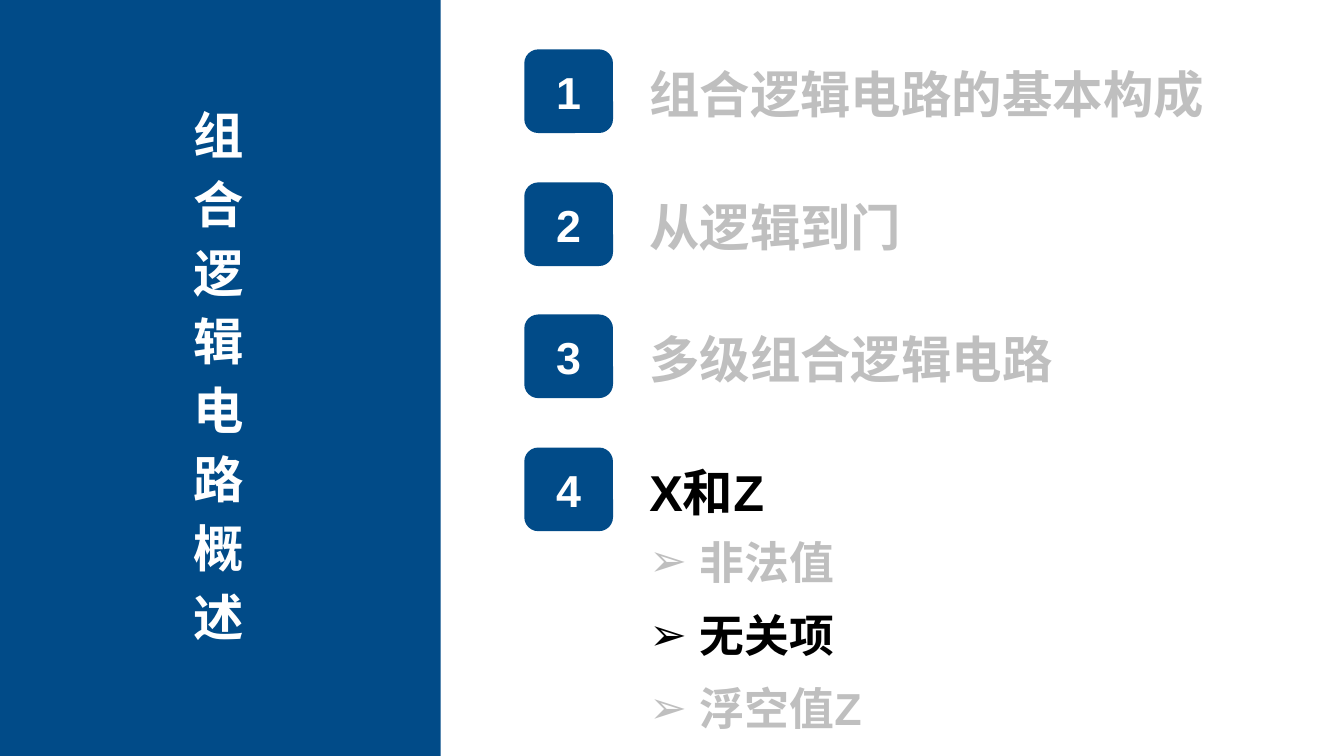
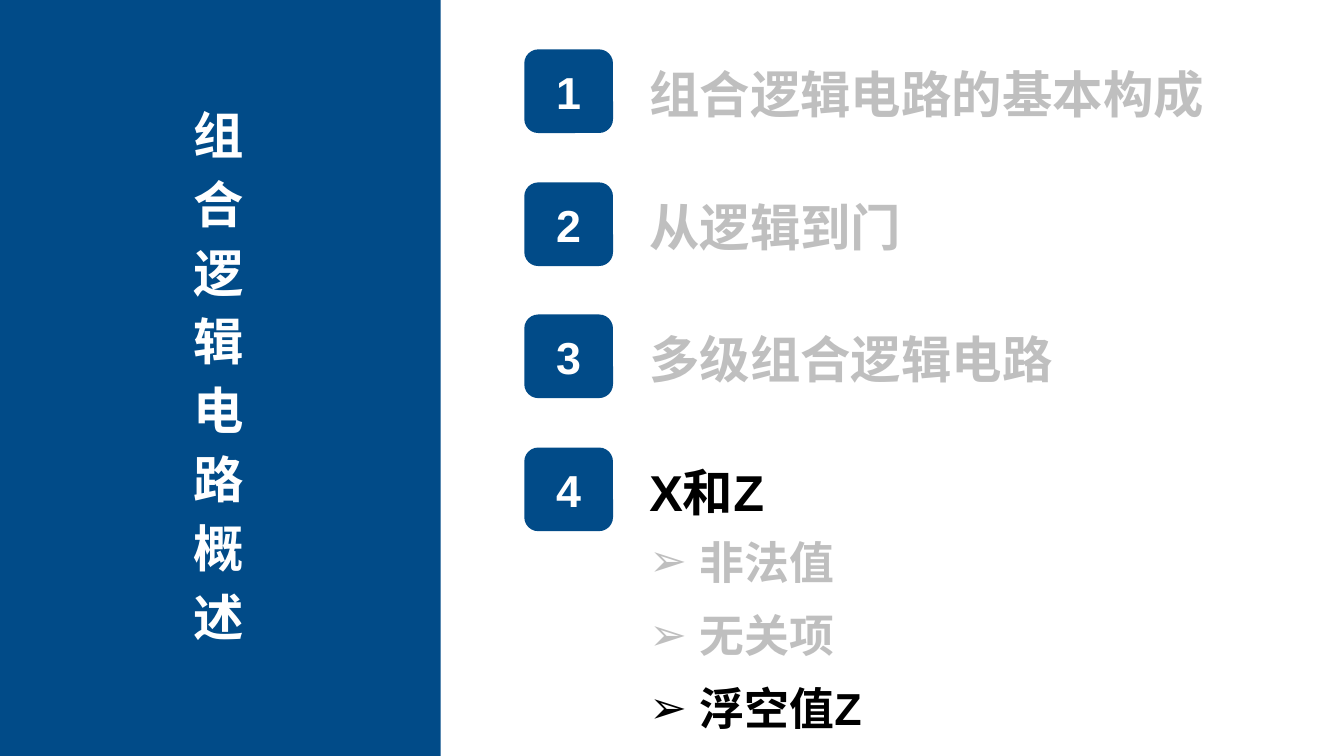
from lxml.etree import SubElement
from pptx import Presentation
from pptx.dml.color import RGBColor
from pptx.enum.lang import MSO_LANGUAGE_ID as Language
from pptx.enum.shapes import MSO_SHAPE as Shape
from pptx.enum.text import MSO_ANCHOR as Anchor, MSO_AUTO_SIZE as AutoSize, PP_ALIGN as Align
from pptx.oxml.ns import qn
from pptx.util import Pt

PX = 9144
WIDTH, HEIGHT = 1333, 750
FONT = "Arial"
COLORS = {"blue": "014B88", "white": "FFFFFF", "muted": "BFBFBF", "active": "000000"}

TITLE = "组合逻辑电路概述"
CHAPTERS = ["组合逻辑电路的基本构成", "从逻辑到门", "多级组合逻辑电路", "X和Z"]
TOPICS = ["非法值", "无关项", "浮空值Z"]
ACTIVE_CHAPTER = "X和Z"
ACTIVE_TOPICS = ["无关项", "浮空值Z"]


def color(name):
    return RGBColor.from_string(COLORS[name])


def emu(*lengths):
    return [length * PX for length in lengths]


def add_bullet(para, char, indent):
    props = para._p.get_or_add_pPr()
    props.set("marL", str(indent * PX))
    props.set("indent", str(-indent * PX))
    SubElement(props, qn("a:buFont")).set("typeface", FONT)
    SubElement(props, qn("a:buChar")).set("char", char)


def write_text(box, text, size=36, fills=("active",), align=Align.LEFT, anchor=Anchor.MIDDLE,
               margins=(0, 0), before=0, after=0, bullet=None):
    frame = box.text_frame
    frame.word_wrap = True
    frame.auto_size = AutoSize.NONE
    frame.vertical_anchor = anchor
    frame.margin_left = frame.margin_right = margins[0] * PX
    frame.margin_top = frame.margin_bottom = margins[1] * PX
    for index, line in enumerate(text.split("\n")):
        para = frame.add_paragraph() if index else frame.paragraphs[0]
        para.alignment = align
        para.space_before = Pt(before if index else 0)
        para.space_after = Pt(after)
        if bullet:
            add_bullet(para, bullet, indent=50)
        span = para.add_run()
        span.text = line
        font = span.font
        font.name, font.size, font.bold = FONT, Pt(size), True
        font.color.rgb = color(fills[index % len(fills)])
        font.language_id = Language.SIMPLIFIED_CHINESE
        SubElement(span._r.get_or_add_rPr(), qn("a:ea")).set("typeface", FONT)


class AgendaDeck:
    def __init__(self):
        self.deck = Presentation()
        self.deck.slide_width, self.deck.slide_height = emu(WIDTH, HEIGHT)
        self.page = None

    def new_page(self):
        self.page = self.deck.slides.add_slide(self.deck.slide_layouts[1])

    def block(self, kind, *place):
        box = self.page.shapes.add_shape(kind, *emu(*place))
        box.shadow.inherit = False
        box.fill.solid()
        box.fill.fore_color.rgb = color("blue")
        box.line.fill.background()
        return box

    def band(self):
        box = self.block(Shape.RECTANGLE, 0, 0, 437, HEIGHT)
        self.page.shapes._spTree.insert(2, box._element)

    def placeholder(self, index, *place):
        box = self.page.placeholders[index]
        box.left, box.top, box.width, box.height = emu(*place)
        return box

    def title(self, text):
        box = self.placeholder(0, 113, 103, 208, 544)
        write_text(box, "\n".join(text), fills=["white"], align=Align.CENTER,
                   anchor=Anchor.TOP, after=6)

    def chapter(self, number, text, state):
        top = 49 + (263 * (number - 1) + 1) // 2
        badge = self.block(Shape.ROUNDED_RECTANGLE, 520, top, 88, 83)
        write_text(badge, str(number), size=32, fills=["white"], align=Align.CENTER,
                   margins=(8, 5))
        heading = self.page.shapes.add_textbox(*emu(644, top + 13, 556, 61))
        write_text(heading, text, fills=[state])

    def topics(self, texts, states):
        box = self.placeholder(1, 644, 530, 519, 199)
        write_text(box, "\n".join(texts), size=32, fills=states, anchor=Anchor.TOP,
                   before=14, bullet="➢")

    def agenda(self, active_topic):
        self.new_page()
        self.band()
        self.title(TITLE)
        for number, text in enumerate(CHAPTERS, 1):
            self.chapter(number, text, "active" if text == ACTIVE_CHAPTER else "muted")
        self.topics(TOPICS, ["active" if text == active_topic else "muted" for text in TOPICS])


def main():
    agenda_deck = AgendaDeck()
    for topic in ACTIVE_TOPICS:
        agenda_deck.agenda(topic)
    agenda_deck.deck.save("out.pptx")


if __name__ == "__main__":
    main()
